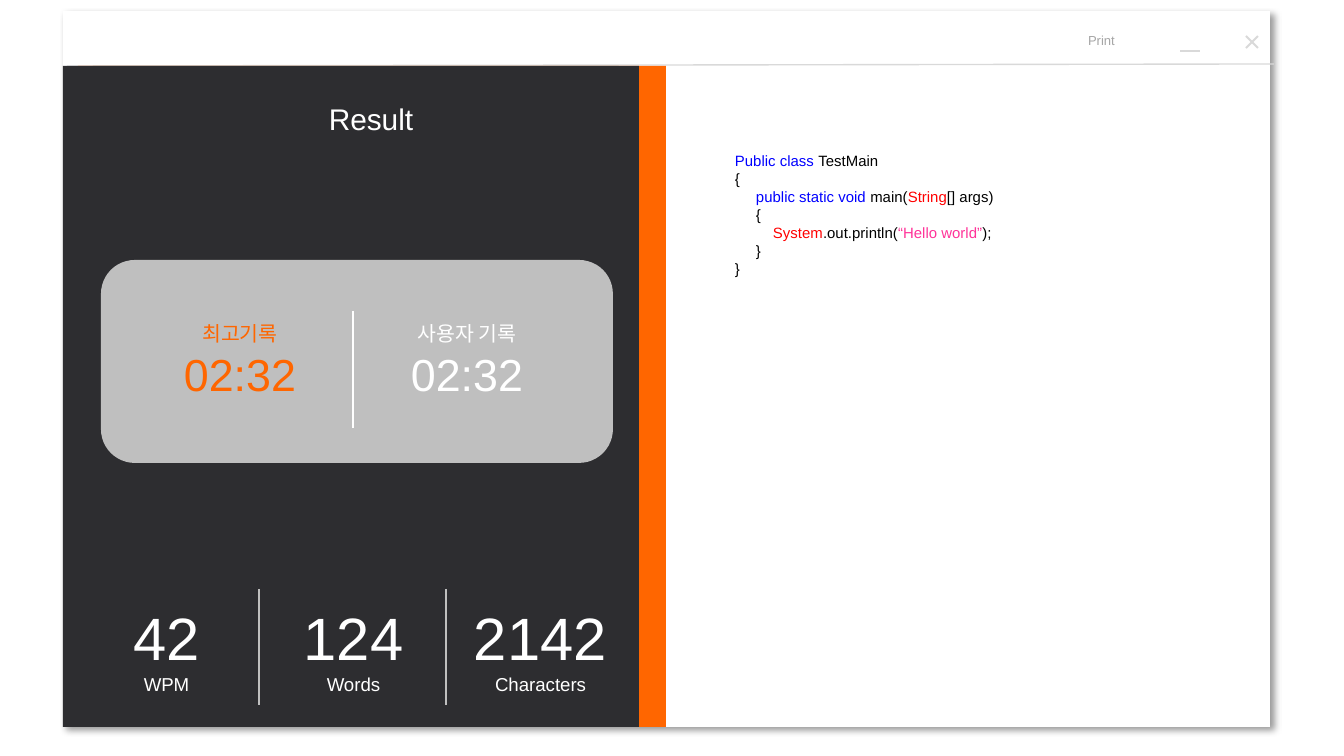
from lxml import etree
from pptx import Presentation
from pptx import util as u
from pptx.dml.color import RGBColor
from pptx.enum import shapes as shp, text as txt
from pptx.oxml.ns import qn

SCALE = 914400 / 134.4  # EMU in one pixel
LATIN, KOREAN = "Arial", "Noto Sans CJK KR"
WHITE = RGBColor(0xFF, 0xFF, 0xFF)
BLACK = RGBColor(0x00, 0x00, 0x00)
DARK = RGBColor(0x2D, 0x2D, 0x30)
ORANGE = RGBColor(0xFF, 0x66, 0x00)
PANEL = RGBColor(0xBF, 0xBF, 0xBF)
RULE = RGBColor(0xD9, 0xD9, 0xD9)
MUTED = RGBColor(0xA6, 0xA6, 0xA6)
KEYWORD = RGBColor(0x00, 0x00, 0xFF)
CLASS = RGBColor(0xFF, 0x00, 0x00)
STRING = RGBColor(0xFF, 0x33, 0x99)

CODE = [  # indent in pixels, then coloured pieces
    (0, [("Public class ", KEYWORD), ("TestMain", BLACK)]),
    (0, [("{", BLACK)]),
    (21, [("public static void ", KEYWORD), ("main(", BLACK),
          ("String", CLASS), ("[] args)", BLACK)]),
    (21, [("{", BLACK)]),
    (38, [("System", CLASS), (".out.println(", BLACK),
          ("“Hello world”", STRING), (");", BLACK)]),
    (21, [("}", BLACK)]),
    (0, [("}", BLACK)]),
]


def px(n):
    """Turn pixels into EMU."""
    return u.Emu(round(n * SCALE))


def add_block(parent, kind, box, fill):
    """Add a plain filled shape without outline or shadow."""
    block = parent.add_shape(kind, *map(px, box))
    block.shadow.inherit = False
    block.fill.solid()
    block.fill.fore_color.rgb = fill
    block.line.fill.background()
    return block


def add_rule(parent, x1, y1, x2, y2, color, width=0.75):
    """Add a thin straight line."""
    rule = parent.add_connector(shp.MSO_CONNECTOR.STRAIGHT, *map(px, (x1, y1, x2, y2)))
    rule.line.color.rgb = color
    rule.line.width = u.Pt(width)
    etree.SubElement(rule._element.spPr, qn("a:effectLst"))


def add_text(parent, box, lines, size=10, color=WHITE,
             align=txt.PP_ALIGN.CENTER, inset=(0, 0)):
    """Add text; each line is (indent, pieces, size) with the size optional."""
    frame = parent.add_textbox(*map(px, box)).text_frame
    frame.word_wrap = True
    frame.margin_left = frame.margin_right = px(inset[0])
    frame.margin_top = frame.margin_bottom = px(inset[1])
    for i, (indent, pieces, *own_size) in enumerate(lines):
        para = frame.paragraphs[0] if i == 0 else frame.add_paragraph()
        para.alignment = align
        if indent:
            para._p.get_or_add_pPr().set("marL", str(px(indent)))
        for words, piece_color in pieces:
            run = para.add_run()
            run.text = words
            run.font.name = LATIN
            run.font.size = u.Pt(own_size[0] if own_size else size)
            run.font.color.rgb = piece_color or color
            etree.SubElement(run._r.get_or_add_rPr(), qn("a:ea"), typeface=KOREAN)


def plain(words, *size):
    """Make a line of one piece in the default colour."""
    return (0, [(words, None)], *size)


def add_window(parent, x, y, w, h):
    """Draw the white window with its soft shadow."""
    window = add_block(parent, shp.MSO_SHAPE.RECTANGLE, (x, y, w, h), WHITE)
    effects = window._element.spPr.find(qn("a:effectLst"))
    shadow = etree.SubElement(effects, qn("a:outerShdw"), blurRad=str(u.Pt(4)),
                              dist=str(u.Pt(3)), dir="2700000", algn="tl",
                              rotWithShape="0")
    black = etree.SubElement(shadow, qn("a:srgbClr"), val="000000")
    etree.SubElement(black, qn("a:alpha"), val="40000")


def add_title_bar(parent, x, y, w, h):
    """Draw the print command, the window buttons and the bar's lower edge."""
    add_text(parent, (x + 1015, y + 21, 47, 16), [plain("Print")], size=7, color=MUTED)
    add_rule(parent, x + 1137, y + 40, x + 1117, y + 40, RULE)
    close = parent.add_group_shape().shapes
    left, top, side = x + 1183, y + 25, 12
    add_rule(close, left, top, left + side, top + side, RULE, 1)
    add_rule(close, left + side, top, left, top + side, RULE, 1)
    add_rule(parent, x + 4, y + h, x + w + 4, y + h - 2, RULE)


def add_records(parent, x, y, w, h):
    """Draw the panel that compares the best time with the user's."""
    group = parent.add_group_shape().shapes
    add_block(group, shp.MSO_SHAPE.ROUNDED_RECTANGLE, (x, y, w, h), PANEL)
    records = [("최고기록", "02:32", ORANGE), ("사용자 기록", "02:32", WHITE)]
    for i, (label, time, color) in enumerate(records):
        left = x + 28 + 227 * i
        add_text(group, (left + 56, y + 61, 110, 26), [plain(label)], size=11, color=color)
        add_text(group, (left, y + 87, 222, 54), [plain(time)], size=24, color=color)
    add_rule(group, x + 252, y + 51, x + 252, y + 168, WHITE)


def add_stats(parent, x, y, w, h):
    """Draw the three counts with dividers between them."""
    stats = [("42", "WPM"), ("124", "Words"), ("2142", "Characters")]
    step = 187
    for i, (count, unit) in enumerate(stats):
        left = x + step * i
        add_text(parent, (left, y + 12, 199, 95), [plain(count, 32), plain(unit)])
        if i:
            add_rule(parent, left + 5, y, left + 5, y + h, PANEL)


def add_result(parent, x, y, w, h):
    """Draw the dark result side with its orange edge."""
    add_block(parent, shp.MSO_SHAPE.RECTANGLE, (x + 15, y, w + 12, h), ORANGE)
    add_block(parent, shp.MSO_SHAPE.RECTANGLE, (x, y, w, h), DARK)
    add_text(parent, (x + 216, y + 35, 184, 36), [plain("Result")], size=16)
    add_stats(parent, x + 4, y + 523, w, 116)
    add_records(parent, x + 38, y + 194, 512, 203)


def add_code(parent, x, y, w, h):
    """Write the typed program."""
    add_text(parent, (x, y, w, h), CODE, size=8,
             align=txt.PP_ALIGN.LEFT, inset=(13, 7))


def main():
    """Build the slide and save it."""
    deck = Presentation()
    deck.slide_width, deck.slide_height = px(1344), px(756)
    canvas = deck.slides.add_slide(deck.slide_layouts[6]).shapes
    add_window(canvas, 63, 11, 1207, 716)
    add_title_bar(canvas, 63, 11, 1207, 55)
    add_result(canvas, 63, 66, 576, 661)
    add_code(canvas, 722, 145, 503, 140)
    deck.save("out.pptx")


main()
